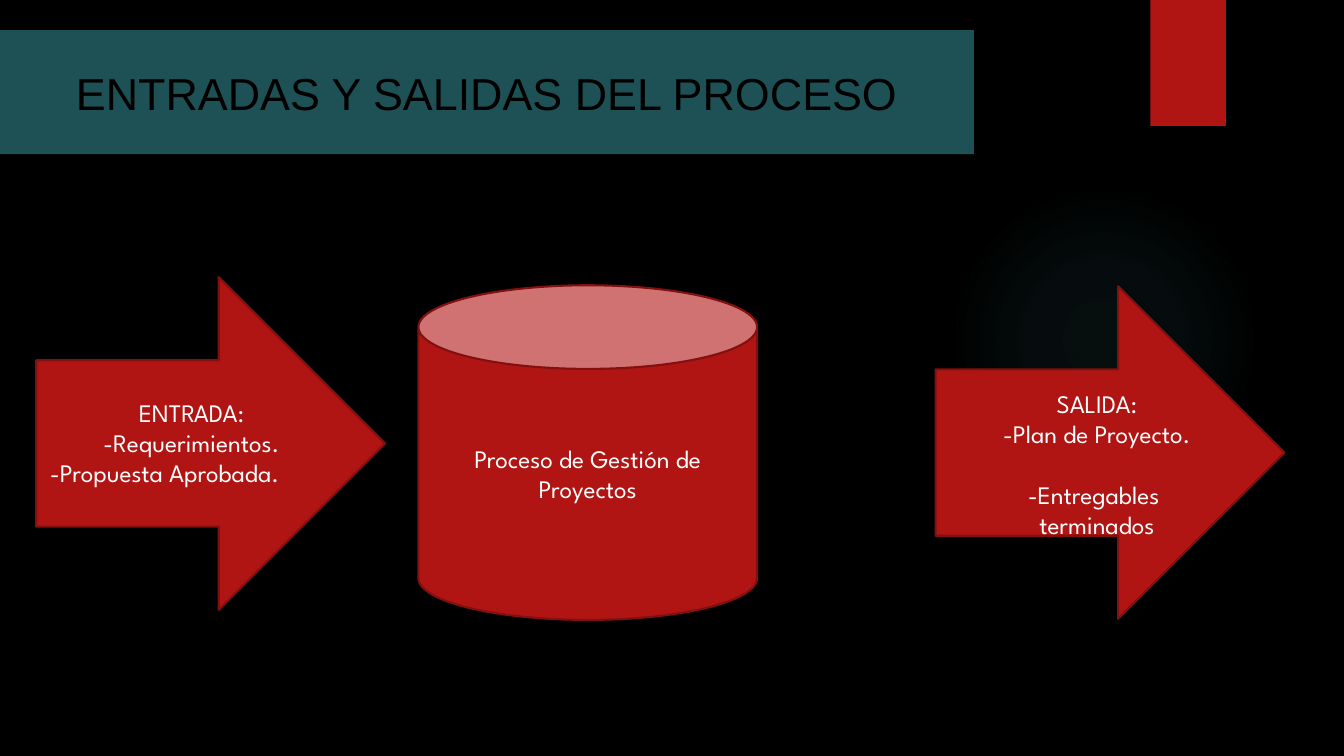
"""Build a slide showing the inputs and outputs of a project management process."""
from dataclasses import dataclass

from lxml.etree import SubElement
from pptx import Presentation
from pptx.dml.color import RGBColor
from pptx.enum.shapes import MSO_SHAPE
from pptx.enum.text import MSO_ANCHOR, PP_ALIGN
from pptx.oxml import parse_xml
from pptx.oxml.ns import nsdecls, qn
from pptx.util import Inches, Pt


@dataclass(frozen=True)
class Theme:
    black: RGBColor = RGBColor.from_string("000000")
    white: RGBColor = RGBColor.from_string("FFFFFF")
    teal: RGBColor = RGBColor.from_string("1E5155")
    red: RGBColor = RGBColor.from_string("B01513")
    dark_red: RGBColor = RGBColor.from_string("82100E")
    glow: str = "50B9C1"
    title_font: str = "Arial"
    body_font: str = "League Spartan"
    title_size: int = 32
    body_size: int = 18


theme = Theme()


def write(para, text, font=theme.body_font, size=theme.body_size,
          color=theme.white, align=PP_ALIGN.CENTER, before=0):
    para.text = text
    para.alignment = align
    para.space_before = Pt(before)
    for span in para.runs:
        span.font.name = font
        span.font.size = Pt(size)
        span.font.color.rgb = color


def add_filled(page, kind, place, fill=theme.red, line=None):
    shape = page.shapes.add_shape(kind, *[Inches(length) for length in place])
    shape.shadow.inherit = False
    shape.fill.solid()
    shape.fill.fore_color.rgb = fill
    if line is None:
        shape.line.fill.background()
    else:
        shape.line.color.rgb = line
        shape.line.width = Pt(1.5)
    return shape


deck = Presentation()
deck.slide_width = Inches(13.33)
deck.slide_height = Inches(7.5)
page = deck.slides.add_slide(deck.slide_layouts[5])
page.background.fill.solid()
page.background.fill.fore_color.rgb = theme.black

title = page.shapes.title
title.left, title.top = Inches(0), Inches(0.3)
title.width, title.height = Inches(9.66), Inches(1.23)
title_outline = SubElement(title.element.spPr, qn("a:prstGeom"), prst="homePlate")
SubElement(title_outline, qn("a:avLst"))
title.fill.solid()
title.fill.fore_color.rgb = theme.teal
title.text_frame.vertical_anchor = MSO_ANCHOR.MIDDLE
write(title.text_frame.paragraphs[0], "ENTRADAS Y SALIDAS DEL PROCESO",
      font=theme.title_font, size=theme.title_size, color=theme.black)

glow = add_filled(page, MSO_SHAPE.OVAL, (9.41, 1.83, 3.08, 3.08))
stops = "".join(
    f'<a:gs pos="{position * 1000}"><a:srgbClr val="{theme.glow}">'
    f'<a:alpha val="{opacity * 1000}"/></a:srgbClr></a:gs>'
    for position, opacity in [(0, 7), (36, 6), (69, 0), (100, 0)])
gradient = parse_xml(
    f'<a:gradFill {nsdecls("a")}><a:gsLst>{stops}</a:gsLst><a:path path="circle">'
    '<a:fillToRect l="50000" t="50000" r="50000" b="50000"/></a:path></a:gradFill>')
glow_properties = glow.element.spPr
glow_properties.replace(glow_properties.find(qn("a:solidFill")), gradient)

add_filled(page, MSO_SHAPE.RECTANGLE, (11.41, 0, 0.75, 1.25))

process = add_filled(page, MSO_SHAPE.CAN, (4.15, 2.83, 3.36, 3.32), line=theme.dark_red)
process.text_frame.vertical_anchor = MSO_ANCHOR.MIDDLE
write(process.text_frame.paragraphs[0], "Proceso de Gestión de Proyectos")

flows = [
    ((0.36, 2.75), (0.4, 3.89, 3, 1.01), [
        ("ENTRADA:", {}),
        ("-Requerimientos.", {}),
        ("-Propuesta Aprobada.", {"align": PP_ALIGN.LEFT}),
    ]),
    ((9.28, 2.84), (9.38, 3.8, 3, 1.62), [
        ("SALIDA:", {}),
        ("-Plan de Proyecto.", {}),
        ("-Entregables \nterminados", {"before": 21.7}),
    ]),
]
for corner, place, lines in flows:
    add_filled(page, MSO_SHAPE.RIGHT_ARROW, (*corner, 3.46, 3.3), line=theme.dark_red)
    box = page.shapes.add_textbox(*[Inches(length) for length in place])
    frame = box.text_frame
    frame.word_wrap = True
    for index, (text, style) in enumerate(lines):
        para = frame.add_paragraph() if index else frame.paragraphs[0]
        write(para, text, **style)

deck.save("out.pptx")
